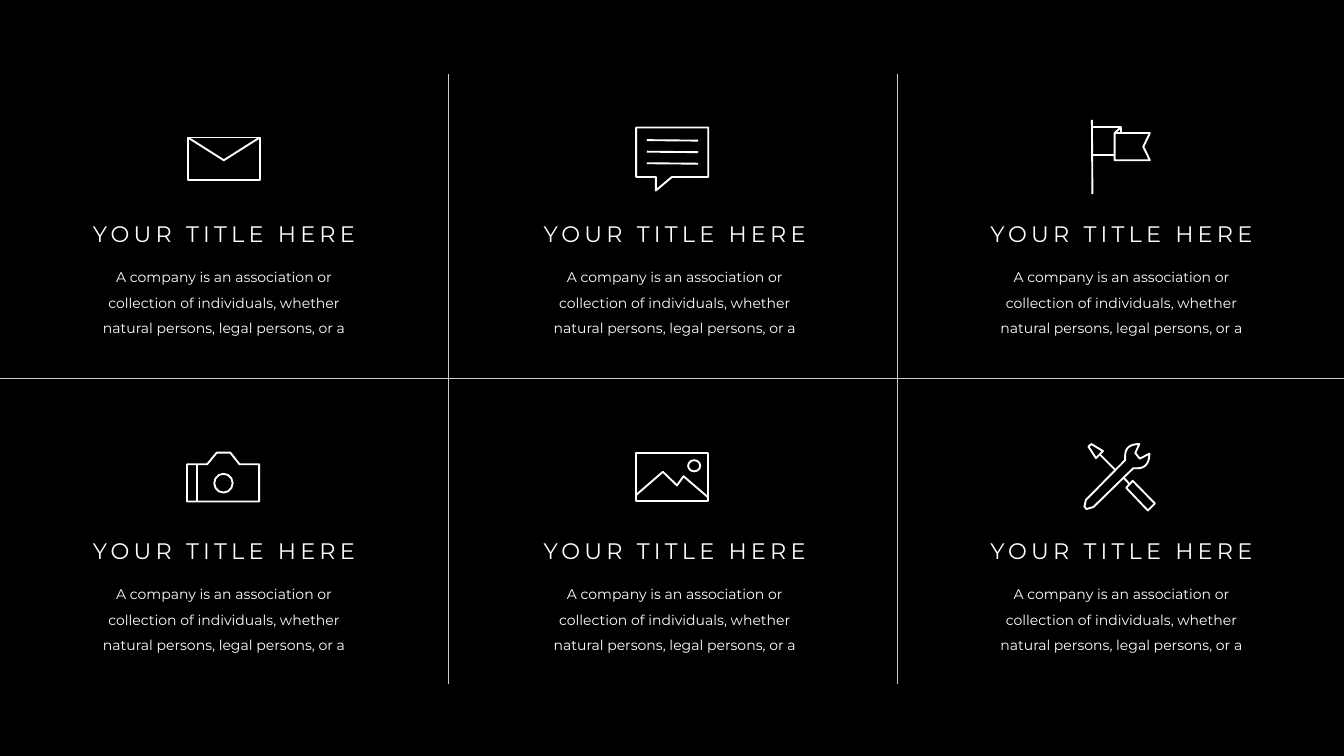
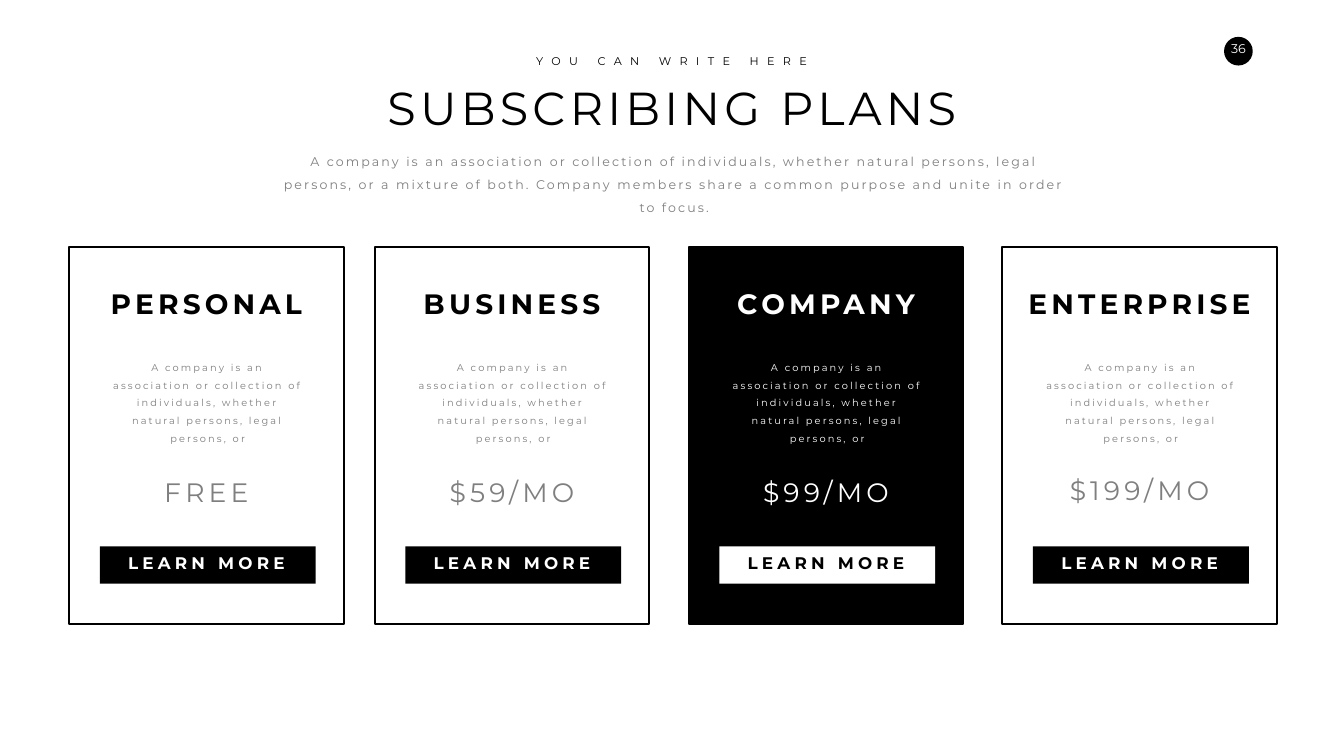
from dataclasses import dataclass
from itertools import product

from lxml.etree import SubElement
from pptx import Presentation
from pptx.dml.color import RGBColor
from pptx.enum.shapes import MSO_CONNECTOR, MSO_SHAPE
from pptx.enum.text import MSO_ANCHOR, MSO_AUTO_SIZE, PP_ALIGN
from pptx.oxml.ns import qn
from pptx.util import Pt


@dataclass(frozen=True)
class Theme:
    font: str = "Montserrat"
    black: str = "000000"
    white: str = "FFFFFF"
    gray: str = "7F7F7F"
    rule: str = "CCCCCC"
    headline: int = 66
    plan_name: int = 40
    price: int = 38
    feature_title: int = 32
    button: int = 24
    body: int = 20
    intro: int = 18
    eyebrow: int = 16
    small: int = 14
    tight: int = 3
    wide: int = 6
    widest: int = 12
    rule_width: float = 0.5
    icon_width: float = 2.7
    card_width: float = 3


WIDTH, HEIGHT = 1919.52, 1080
SNIPPET = "A company is an association or collection of individuals, whether natural persons, legal persons, or"


class Deck:
    """Holds the theme, the presentation and the slide being drawn."""

    def __init__(self, theme):
        self.theme = theme
        self.presentation = Presentation()
        self.presentation.slide_width = Pt(WIDTH)
        self.presentation.slide_height = Pt(HEIGHT)
        self.slide = None

    def new_slide(self):
        self.slide = self.presentation.slides.add_slide(self.presentation.slide_layouts[6])

    def paint(self, shape, fill=None, line=None, line_width=1):
        shape.shadow.inherit = False
        if fill:
            shape.fill.solid()
            shape.fill.fore_color.rgb = RGBColor.from_string(fill)
        else:
            shape.fill.background()
        if line:
            shape.line.color.rgb = RGBColor.from_string(line)
            shape.line.width = Pt(line_width)
        else:
            shape.line.fill.background()

    def shape(self, kind, left, top, width, height, parent=None, **paint):
        shapes = (parent or self.slide).shapes
        shape = shapes.add_shape(kind, Pt(left), Pt(top), Pt(width), Pt(height))
        self.paint(shape, **paint)
        return shape

    def line(self, start, end, color, width, parent=None):
        shapes = (parent or self.slide).shapes
        connector = shapes.add_connector(
            MSO_CONNECTOR.STRAIGHT, *(Pt(value) for value in (*start, *end)))
        connector.line.color.rgb = RGBColor.from_string(color)
        connector.line.width = Pt(width)
        SubElement(connector._element.spPr, qn("a:effectLst"))

    def outline(self, points, parent, **paint):
        """Draw a polyline, closed when it returns to its first point."""
        corners = [(Pt(x), Pt(y)) for x, y in points]
        builder = parent.shapes.build_freeform(*corners[0])
        builder.add_line_segments(corners[1:], close=corners[0] == corners[-1])
        self.paint(builder.convert_to_shape(), **paint)

    def text(self, words, left, top, width, height, size, color,
             bold=False, tracking=0, spacing=None, wrap=True, fill=None):
        box = self.slide.shapes.add_textbox(Pt(left), Pt(top), Pt(width), Pt(height))
        if fill:
            self.paint(box, fill)
        frame = box.text_frame
        frame.text = words
        frame.word_wrap = wrap
        frame.auto_size = MSO_AUTO_SIZE.SHAPE_TO_FIT_TEXT
        frame.vertical_anchor = MSO_ANCHOR.TOP
        paragraph = frame.paragraphs[0]
        paragraph.alignment = PP_ALIGN.CENTER
        if spacing:
            paragraph.line_spacing = spacing
        for run in paragraph.runs:
            run.font.name = self.theme.font
            run.font.size = Pt(size)
            run.font.bold = bold
            run.font.color.rgb = RGBColor.from_string(color)
            if tracking:
                run._r.get_or_add_rPr().set("spc", str(tracking * 100))

    def centered_text(self, words, center, top, width, height, size, color, **style):
        self.text(words, center - width / 2, top, width, height, size, color, **style)

    def icon(self, left, top, strokes):
        """Group strokes whose coordinates start at the icon's top left corner."""
        group = self.slide.shapes.add_group_shape()
        pen = {"line": self.theme.white, "line_width": self.theme.icon_width}
        for kind, points in strokes:
            if kind in PRESETS:
                x, y, width, height = points
                self.shape(PRESETS[kind], left + x, top + y, width, height, group, **pen)
                continue
            placed = [(left + x, top + y) for x, y in points]
            if kind == "line":
                self.line(*placed, self.theme.white, self.theme.icon_width, group)
            else:
                self.outline(placed, group, **pen)


def curve(start, control_1, control_2, end, steps=8):
    """Points after start along a cubic Bézier curve."""
    points = []
    for step in range(1, steps + 1):
        t = step / steps
        weights = ((1 - t) ** 3, 3 * t * (1 - t) ** 2, 3 * t ** 2 * (1 - t), t ** 3)
        corners = (start, control_1, control_2, end)
        points.append(tuple(sum(weight * corner[axis] for weight, corner in zip(weights, corners))
                            for axis in (0, 1)))
    return points


PRESETS = {"rectangle": MSO_SHAPE.RECTANGLE, "oval": MSO_SHAPE.OVAL}

ENVELOPE = [
    ("rectangle", (0, 0, 102.4, 61.2)),
    ("outline", [(0, 0), (51.2, 32.4), (102.4, 0)]),
]
SPEECH_BUBBLE = [("line", [(15.1, y), (88.6, y + 0.7)]) for y in (18, 34.5, 51)] + [
    ("outline", [(51.1, 70.6), (103, 70.6), (103, 0), (0, 0), (0, 70.6),
                 (28.1, 70.6), (28.1, 90), (51.1, 70.6)]),
]
FLAG = [
    ("line", [(0, 0), (0.7, 105.8)]),
    ("outline", [(41.8, 10.1), (32.4, 18.7), (32.4, 57.6), (82.8, 57.6),
                 (73.4, 38.2), (82.8, 18.7), (32.4, 18.7)]),
    ("outline", [(31.7, 49.7), (0, 49.7), (0, 10.1), (41.8, 10.1), (41.8, 18.7)]),
]
CAMERA = [
    ("outline", [(74.9, 16.6), (61.9, 0), (42.5, 0), (28.8, 16.6), (0, 16.6),
                 (0, 69.8), (103, 69.8), (103, 16.6), (74.9, 16.6)]),
    ("oval", (38.9, 30.2, 26.3, 26.9)),
    ("line", [(13.7, 16.6), (13.7, 69.8)]),
]
LANDSCAPE = [
    ("rectangle", (0, 0, 103, 69.8)),
    ("outline", [(0, 60.5), (38.2, 27.4), (58.3, 46.8), (67.7, 33.8), (103, 64.1)]),
    ("oval", (74.2, 10.8, 17.3, 16)),
]
TOOLS = [
    ("line", [(56.9, 49), (64.8, 57.6)]),
    ("outline", [(59.8, 62.6), (69.1, 52.6), (100.8, 85), (90.7, 95), (59.8, 62.6)]),
    ("outline", [(16.6, 20.2), (26.6, 10.1), (10.1, 0), (5.8, 3.6), (16.6, 20.2)]),
    ("line", [(43.9, 36.7), (21.6, 14.4)]),
    ("outline", [(92.9, 13.7), (79.2, 20.9), (72.7, 13), (78.5, 0),
                 *curve((78.5, 0), (61.9, 0), (58.3, 8.6), (58.3, 16.6)),
                 (58.3, 23), (2.2, 79.9), (0, 89.3), (2.9, 92.9), (13, 90),
                 (69.8, 34.6), (76.3, 34.6),
                 *curve((76.3, 34.6), (84.2, 34.6), (92.9, 30.2), (92.9, 13.7))]),
]
# Left, top and strokes, row by row
ICONS = [
    (268.5, 196.5, ENVELOPE), (908.6, 182.2, SPEECH_BUBBLE), (1559.5, 171.4, FLAG),
    (267.1, 646.6, CAMERA), (908.6, 646.6, LANDSCAPE), (1548.7, 634.3, TOOLS),
]


def build_features(deck):
    theme = deck.theme
    deck.new_slide()
    deck.shape(MSO_SHAPE.RECTANGLE, 0, 0, WIDTH, HEIGHT, fill=theme.black)
    for x in (640, 1280.9):
        deck.line((x, 105.8), (x, 977), theme.rule, theme.rule_width)
    deck.line((0, 540), (WIDTH, 540), theme.rule, theme.rule_width)
    for icon in ICONS:
        deck.icon(*icon)
    for top, center in product((311, 764), (320, 963.7, 1601.7)):
        deck.centered_text(f"{SNIPPET} a", center, top + 57.6, 377.6, 116.6,
                           theme.body, theme.white, spacing=1.5)
        deck.centered_text("YOUR TITLE HERE", center, top, 393.8, 46, theme.feature_title,
                           theme.white, tracking=theme.wide, wrap=False)


def build_plan(deck, left, name, name_width, price, price_width, price_top, dark):
    theme = deck.theme
    center = left + 196.2
    fill = theme.black if dark else None
    strong, soft = (theme.white, theme.white) if dark else (theme.black, theme.gray)
    label_color = theme.black if dark else theme.white
    deck.shape(MSO_SHAPE.RECTANGLE, left, 352.8, 392.4, 539.3,
               fill=fill, line=theme.black, line_width=theme.card_width)
    deck.centered_text(name, center, 406, name_width, 55.4, theme.plan_name, strong,
                       bold=True, tracking=theme.wide, wrap=False, fill=fill)
    deck.centered_text(price, center, price_top, price_width, 53.3, theme.price, soft,
                       tracking=theme.wide, fill=fill)
    deck.centered_text(SNIPPET, center + 1.8, 504.7, 285, 133.2, theme.small, soft,
                       tracking=theme.tight, spacing=1.5, fill=fill)
    deck.shape(MSO_SHAPE.RECTANGLE, center - 152.3, 780.5, 308.2, 53.3, fill=strong)
    deck.centered_text("LEARN MORE", center, 786.2, 267, 36, theme.button, label_color,
                       bold=True, tracking=theme.wide)


def build_plans(deck):
    theme = deck.theme
    deck.new_slide()
    badge = deck.shape(MSO_SHAPE.OVAL, 1748.2, 52.6, 41, 41, fill=theme.black)
    badge.rotation = 270
    deck.centered_text("36", 1768.7, 55.2, 62, 36.7, theme.intro, theme.white, wrap=False)
    deck.text("SUBSCRIBING PLANS", 537.8, 109.4, 844.6, 87, theme.headline, theme.black,
              tracking=theme.wide)
    deck.text("YOU CAN WRITE HERE", 712.8, 73.4, 493.2, 26.6, theme.eyebrow, theme.black,
              tracking=theme.widest)
    deck.text("A company is an association or collection of individuals, whether natural persons, "
              "legal persons, or a mixture of both. Company members share a common purpose and "
              "unite in order to focus.",
              385.9, 205.9, 1154.2, 72.7, theme.intro, theme.gray,
              tracking=theme.tight, spacing=1.5)
    plans = [
        (98.6, "PERSONAL", 290.2, "FREE", 200.2, 676, False),
        (535, "BUSINESS", 271.4, "$59/MO", 200.2, 676, False),
        (983.5, "COMPANY", 271.4, "$99/MO", 200.2, 676, True),
        (1431.4, "ENTERPRISE", 336.2, "$199/MO", 242.6, 673.2, False),
    ]
    for plan in plans:
        build_plan(deck, *plan)


def main():
    deck = Deck(Theme())
    build_features(deck)
    build_plans(deck)
    deck.presentation.save("out.pptx")


if __name__ == "__main__":
    main()
